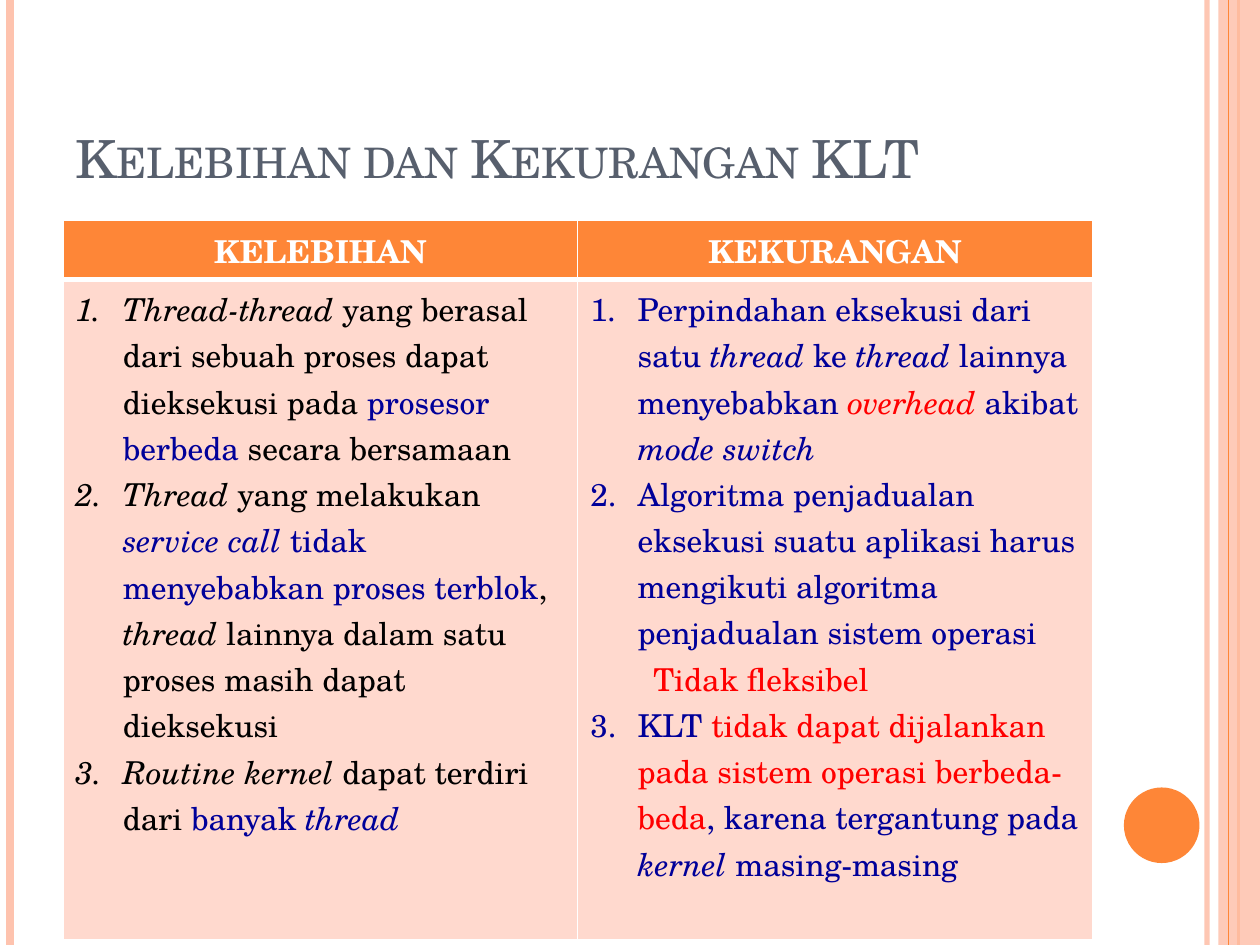
import pptx
import pptx.util
import pptx.dml.color
import pptx.enum.shapes
import pptx.enum.text
import pptx.oxml.ns
import lxml.etree

RGB = pptx.dml.color.RGBColor
Inches, Pt = pptx.util.Inches, pptx.util.Pt
SHAPE = pptx.enum.shapes.MSO_SHAPE
ALIGN = pptx.enum.text.PP_ALIGN
qn = pptx.oxml.ns.qn

WHITE, BLACK = RGB(255, 255, 255), RGB(0, 0, 0)
ORANGE, PEACH, BLUSH = RGB(0xFE, 0x86, 0x37), RGB(0xFE, 0xC3, 0xAE), RGB(0xFF, 0xD9, 0xCE)
SLATE, NAVY, RED = RGB(0x57, 0x5F, 0x6D), RGB(0, 0, 0x99), RGB(255, 0, 0)
FONT = "TeX Gyre Schola"
WIDTH, HEIGHT = 10, 7.5

TITLE = "Kelebihan dan Kekurangan KLT"
HEADINGS = ["KELEBIHAN", "KEKURANGAN"]
# Each paragraph: (numbered, [(text, colour, italic), ...])
ADVANTAGES = [
    (True, [("Thread-thread", BLACK, True),
            (" yang berasal dari sebuah proses dapat dieksekusi pada ", BLACK, False),
            ("prosesor berbeda ", NAVY, False), ("secara bersamaan", BLACK, False)]),
    (True, [("Thread", BLACK, True), (" yang melakukan ", BLACK, False),
            ("service call ", NAVY, True),
            ("tidak menyebabkan proses terblok", NAVY, False),
            (", ", BLACK, False), ("thread ", BLACK, True),
            ("lainnya dalam satu proses masih dapat dieksekusi", BLACK, False)]),
    (True, [("Routine kernel ", BLACK, True), ("dapat terdiri dari ", BLACK, False),
            ("banyak ", NAVY, False), ("thread", NAVY, True)]),
]
DRAWBACKS = [
    (True, [("Perpindahan eksekusi dari satu ", NAVY, False), ("thread ", NAVY, True),
            ("ke ", NAVY, False), ("thread ", NAVY, True),
            ("lainnya menyebabkan ", NAVY, False), ("overhead ", RED, True),
            ("akibat ", NAVY, False), ("mode switch", NAVY, True)]),
    (True, [("Algoritma penjadualan eksekusi suatu aplikasi harus mengikuti "
             "algoritma penjadualan sistem operasi", NAVY, False)]),
    (False, [("Tidak fleksibel", RED, False)]),
    (True, [("KLT ", NAVY, False),
            ("tidak dapat dijalankan pada sistem operasi berbeda-beda", RED, False),
            (", karena tergantung pada ", NAVY, False), ("kernel ", NAVY, True),
            ("masing-masing", NAVY, False)]),
]

# Vertical rules: x, colour, width in points, opacity in percent
OUTER_RULES = [(9.58, PEACH, 3, 93), (0.08, PEACH, 4.5, 100), (9.83, ORANGE, 1.5, 100)]
INNER_RULES = [(9.75, ORANGE, 0.75, 100)]
ROW_HEIGHTS = [0.47, 5.24]


def set_opacity(part, percent):
    """Make the solid colour inside a shape's properties partly transparent."""
    colour = part._element.spPr.find(".//" + qn("a:srgbClr"))
    lxml.etree.SubElement(colour, qn("a:alpha"), val=str(percent * 1000))


def add_rules(slide, rules):
    """Draw full-height vertical lines."""
    for x, colour, width, opacity in rules:
        rule = slide.shapes.add_connector(
            pptx.enum.shapes.MSO_CONNECTOR.STRAIGHT,
            Inches(x), 0, Inches(x), Inches(HEIGHT))
        rule.line.color.rgb = colour
        rule.line.width = Pt(width)
        if opacity < 100:
            set_opacity(rule, opacity)
        lxml.etree.SubElement(rule._element.spPr, qn("a:effectLst"))


def add_block(slide, kind, box, colour):
    """Draw a plain filled shape."""
    block = slide.shapes.add_shape(kind, *map(Inches, box))
    block.shadow.inherit = False
    block.fill.solid()
    block.fill.fore_color.rgb = colour
    block.line.fill.background()
    return block


def add_run(paragraph, text, colour, **formats):
    """Append a run, applying format values to its font."""
    run = paragraph.add_run()
    run.text = text
    run.font.color.rgb = colour
    for name, value in {"name": FONT, "size": Pt(18), "bold": False, **formats}.items():
        setattr(run.font, name, value)
    return run


def set_indent(paragraph, numbered):
    """Number a paragraph with a hanging indent, or indent it one level."""
    props = paragraph._p.get_or_add_pPr()
    left, first = (0.375, -0.375) if numbered else (0.5, 0)
    props.set("marL", str(Inches(left)))
    props.set("indent", str(Inches(first)))
    if numbered:
        lxml.etree.SubElement(props, qn("a:buFont"), typeface="+mj-lt")
        lxml.etree.SubElement(props, qn("a:buAutoNum"), type="arabicPeriod")
    else:
        paragraph.level = 1
        lxml.etree.SubElement(props, qn("a:buNone"))


def style_cell(cell, colour, top, bottom):
    """Fill a cell and give it white borders."""
    cell.fill.solid()
    cell.fill.fore_color.rgb = colour
    props = cell._tc.get_or_add_tcPr()
    for place, (side, width) in enumerate(zip("LRTB", (1, 1, top, bottom))):
        border = lxml.etree.Element(qn("a:ln" + side), w=str(Pt(width)))
        fill = lxml.etree.SubElement(border, qn("a:solidFill"))
        lxml.etree.SubElement(fill, qn("a:srgbClr"), val=str(WHITE))
        props.insert(place, border)


def add_title(slide):
    """Write the small-caps title, resting on the bottom of its box."""
    frame = slide.shapes.add_textbox(*map(Inches, (0.5, 0.3, 8.17, 1.25))).text_frame
    frame.word_wrap = True
    frame.vertical_anchor = pptx.enum.text.MSO_ANCHOR.BOTTOM
    run = add_run(frame.paragraphs[0], TITLE, SLATE, size=Pt(30))
    run.font._element.set("cap", "small")


def add_comparison(slide):
    """Build the two-column table of advantages and drawbacks."""
    table = slide.shapes.add_table(
        2, 2, *map(Inches, (0.5, 1.75, 8.17, sum(ROW_HEIGHTS)))).table
    for row, height in zip(table.rows, ROW_HEIGHTS):
        row.height = Inches(height)
    for column, (heading, points) in enumerate(zip(HEADINGS, (ADVANTAGES, DRAWBACKS))):
        head, body = table.cell(0, column), table.cell(1, column)
        style_cell(head, ORANGE, 1, 3)
        style_cell(body, BLUSH, 3, 1)
        caption = head.text_frame.paragraphs[0]
        caption.alignment = ALIGN.CENTER
        add_run(caption, heading, WHITE, bold=True)
        for index, (numbered, runs) in enumerate(points):
            frame = body.text_frame
            paragraph = frame.add_paragraph() if index else frame.paragraphs[0]
            set_indent(paragraph, numbered)
            for text, colour, italic in runs:
                add_run(paragraph, text, colour, italic=italic)


def main():
    """Assemble the slide and save it."""
    deck = pptx.Presentation()
    deck.slide_width, deck.slide_height = Inches(WIDTH), Inches(HEIGHT)
    slide = deck.slides.add_slide(deck.slide_layouts[6])
    add_rules(slide, OUTER_RULES)
    band = add_block(slide, SHAPE.RECTANGLE, (9.67, 0, 0.33, HEIGHT), PEACH)
    set_opacity(band, 87)
    add_rules(slide, INNER_RULES)
    add_block(slide, SHAPE.OVAL, (8.92, 6.25, 0.6, 0.6), ORANGE)
    add_title(slide)
    add_comparison(slide)
    deck.save("out.pptx")


main()
